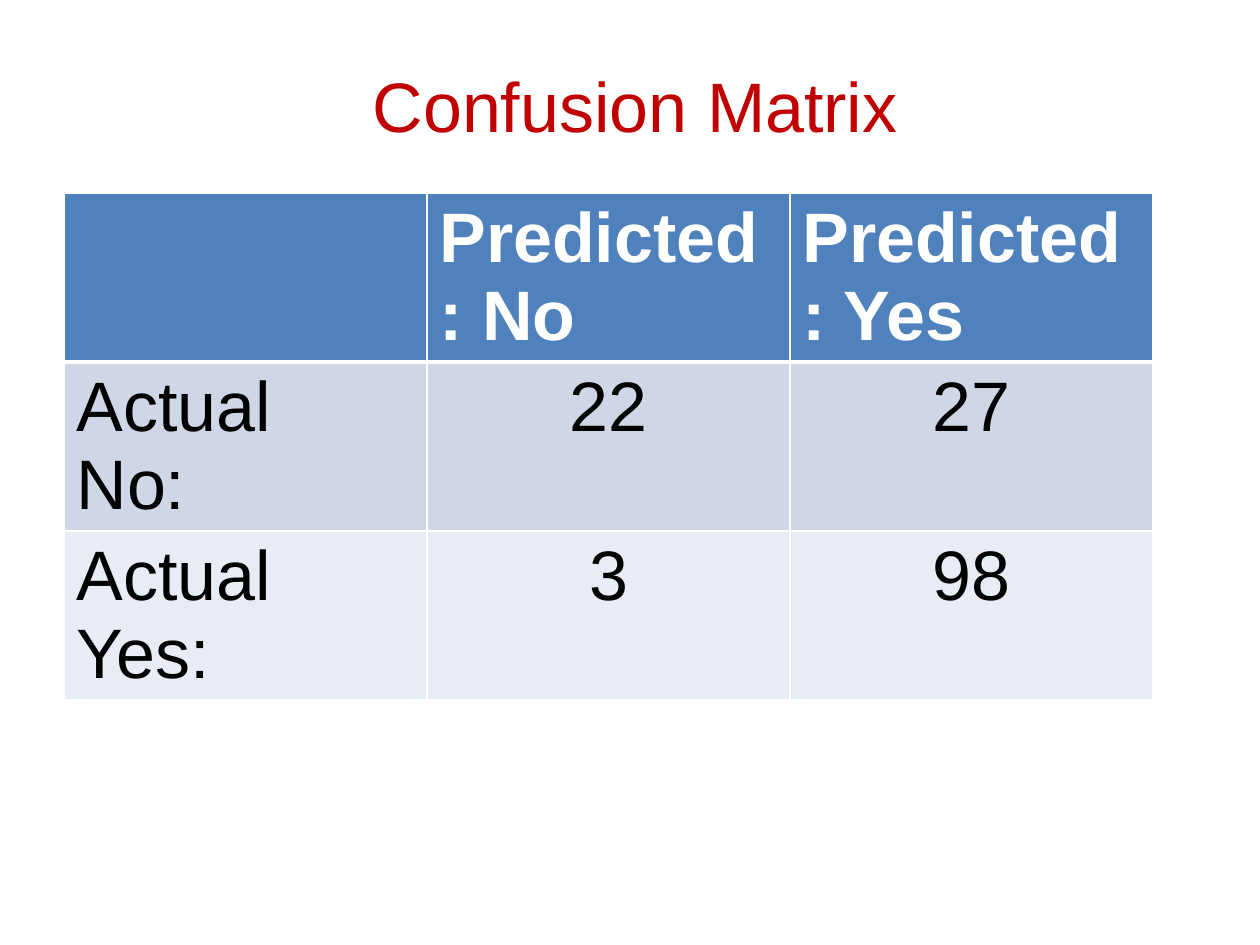
"""Build the confusion matrix slide."""
from dataclasses import dataclass

from lxml import etree
from pptx import Presentation
from pptx.dml.color import RGBColor
from pptx.enum.text import MSO_ANCHOR, PP_ALIGN
from pptx.oxml.ns import qn
from pptx.util import Emu, Pt

LEFT, CENTER = PP_ALIGN.LEFT, PP_ALIGN.CENTER
MIDDLE = MSO_ANCHOR.MIDDLE
TITLE_ONLY = 5
PIXEL = 914400 // 126
COLORS = {
    "title": "C00000",
    "header": "4F81BD",
    "odd": "CFD7E7",
    "even": "E8ECF4",
    "white": "FFFFFF",
    "black": "000000",
}


@dataclass(frozen=True)
class MatrixRow:
    cells: tuple[str, ...]
    fill: str
    color: str = "black"
    bold: bool = False
    value_alignment: PP_ALIGN = CENTER
    top: int = 1
    bottom: int = 1


ROWS = (
    MatrixRow(("", "Predicted : No", "Predicted : Yes"), "header", "white", True, LEFT, bottom=3),
    MatrixRow(("Actual \nNo:", "22", "27"), "odd", top=3),
    MatrixRow(("Actual Yes:", "3", "98"), "even"),
)


def px(length: int) -> Emu:
    """Convert pixels to EMU."""
    return Emu(length * PIXEL)


def set_text(frame, text: str, color: str, alignment: PP_ALIGN, bold: bool = False) -> None:
    """Write and format the paragraphs of a text frame."""
    frame.text = text
    formats = {"name": "Arial", "size": Pt(40), "bold": bold}
    for paragraph in frame.paragraphs:
        paragraph.alignment = alignment
        for name, value in formats.items():
            setattr(paragraph.font, name, value)
        paragraph.font.color.rgb = RGBColor.from_string(COLORS[color])
        for run in paragraph.runs:
            for name, value in formats.items():
                setattr(run.font, name, value)
            run.font.color.rgb = RGBColor.from_string(COLORS[color])


def set_borders(cell, top: int, bottom: int) -> None:
    """Draw white lines around a cell."""
    properties = cell._tc.get_or_add_tcPr()
    for side, width in {"L": 1, "R": 1, "T": top, "B": bottom}.items():
        line = etree.SubElement(properties, qn(f"a:ln{side}"), w=str(Pt(width)))
        fill = etree.SubElement(line, qn("a:solidFill"))
        etree.SubElement(fill, qn("a:srgbClr"), val=COLORS["white"])


def add_title(slide, text: str) -> None:
    """Place and format the slide title."""
    title = slide.shapes.title
    position = {"left": px(115), "top": px(26), "width": px(1040), "height": px(158)}
    for name, value in position.items():
        setattr(title, name, value)
    title.text_frame.vertical_anchor = MIDDLE
    set_text(title.text_frame, text, "title", CENTER)


def add_matrix(slide, rows: tuple[MatrixRow, ...]) -> None:
    """Add the matrix as a table."""
    column_count = len(rows[0].cells)
    table = slide.shapes.add_table(
        len(rows), column_count, px(64), px(193), px(363 * column_count), px(168 * len(rows))
    ).table
    for row_index, row in enumerate(rows):
        for column_index, text in enumerate(row.cells):
            cell = table.cell(row_index, column_index)
            set_borders(cell, row.top, row.bottom)
            cell.fill.solid()
            cell.fill.fore_color.rgb = RGBColor.from_string(COLORS[row.fill])
            alignment = row.value_alignment if column_index else LEFT
            set_text(cell.text_frame, text, row.color, alignment, row.bold)


def main() -> None:
    """Create and save the presentation."""
    presentation = Presentation()
    presentation.slide_width, presentation.slide_height = px(1260), px(945)
    slide = presentation.slides.add_slide(presentation.slide_layouts[TITLE_ONLY])
    add_title(slide, "Confusion Matrix")
    add_matrix(slide, ROWS)
    presentation.save("out.pptx")


main()
